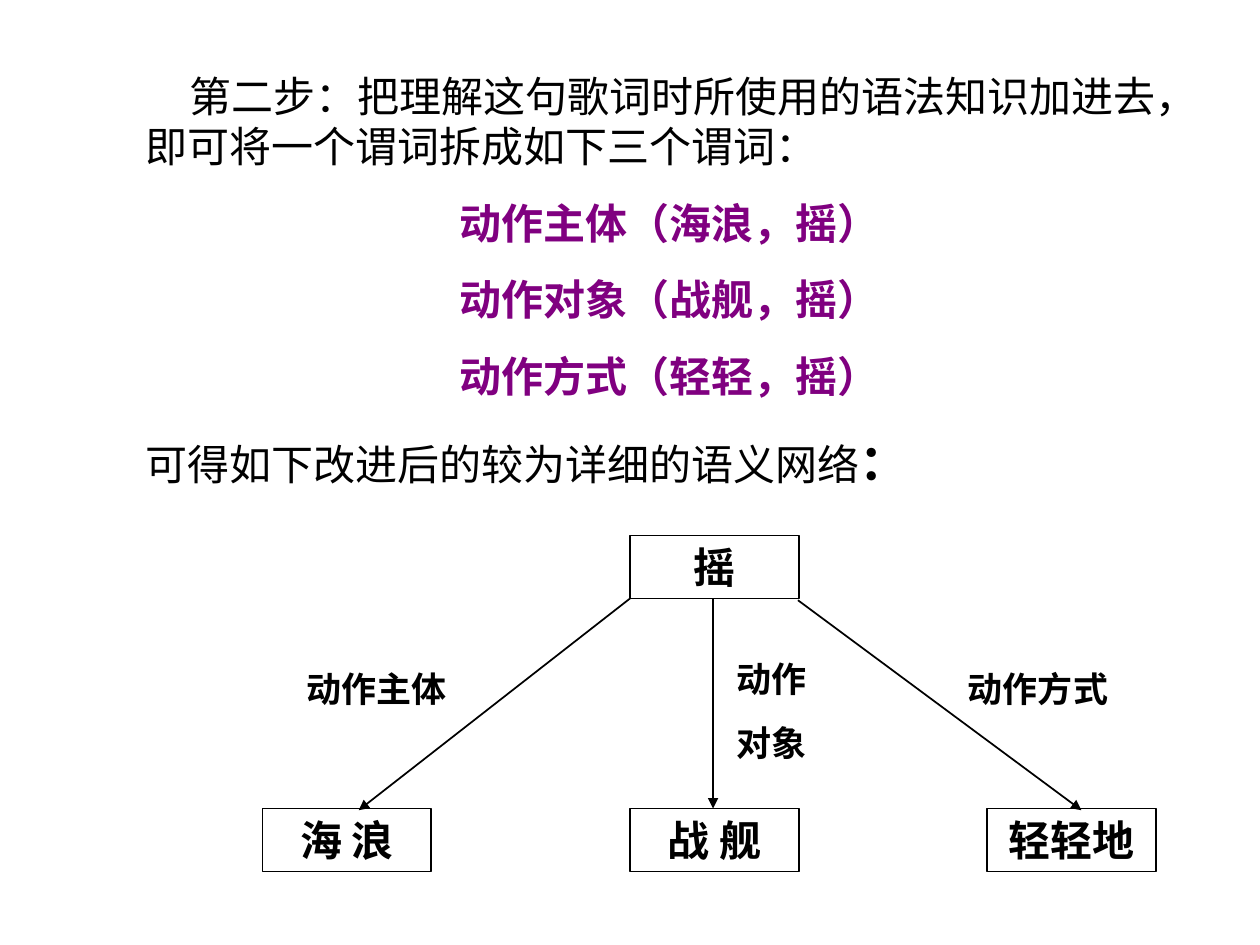
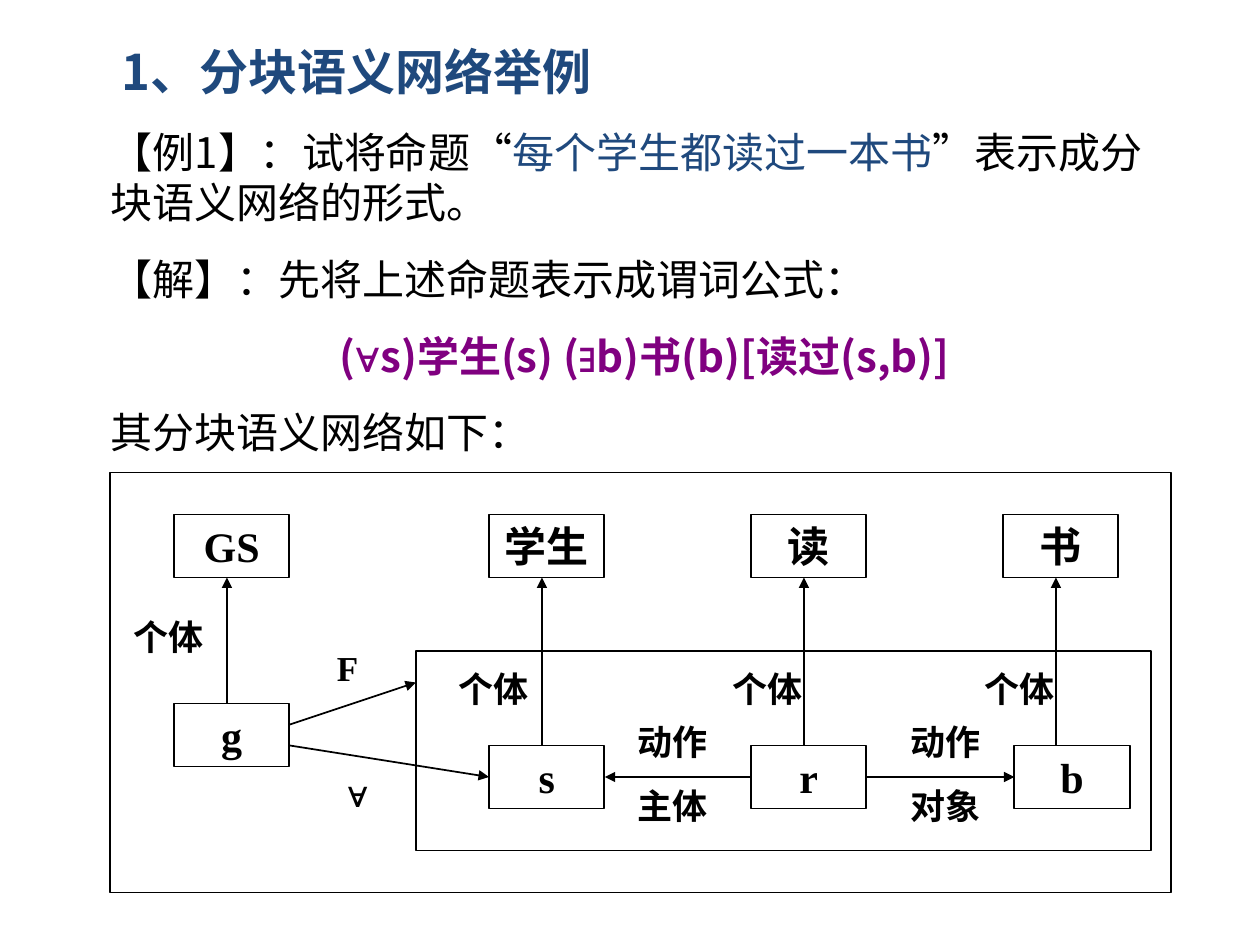
from lxml import etree
from pptx import Presentation
from pptx.dml.color import RGBColor
from pptx.enum.shapes import MSO_CONNECTOR, MSO_SHAPE
from pptx.enum.text import MSO_ANCHOR, MSO_AUTO_SIZE, PP_ALIGN
from pptx.oxml.ns import qn
from pptx.util import Pt

RECTANGLE = MSO_SHAPE.RECTANGLE
STRAIGHT = MSO_CONNECTOR.STRAIGHT
TOP = MSO_ANCHOR.TOP
GROW = MSO_AUTO_SIZE.SHAPE_TO_FIT_TEXT
LEFT, CENTER = PP_ALIGN.LEFT, PP_ALIGN.CENTER

BLACK = RGBColor(0, 0, 0)
PURPLE = RGBColor(0x80, 0, 0x80)
NAVY = RGBColor(0x1F, 0x49, 0x7D)
SANS, SERIF, SYMBOL = "Noto Sans CJK SC", "Times New Roman", "Arial"
BODY_SIZE, LARGE_SIZE, LABEL_SIZE = 24, 28, 20
LINE_FACTOR = 1.2
SPACE_FACTOR = 0.625
NODE_HEIGHT = 36
LABEL_HEIGHT = 31.7


def run(text, size=BODY_SIZE, color=BLACK, bold=False, font=SANS):
    return text, size, color, bold, font


def formula(text, font=SANS):
    return run(text, color=PURPLE, bold=True, font=font)


STEP_TEXT = [
    (LEFT, 25, [run("第二步：把理解这句歌词时所使用的语法知识加进去，即可将一个谓词拆成如下三个谓词：")]),
    (CENTER, 0, [formula("动作主体（海浪，摇）")]),
    (CENTER, 0, [formula("动作对象（战舰，摇）")]),
    (CENTER, 0, [formula("动作方式（轻轻，摇）")]),
    (LEFT, 0, [run("可得如下改进后的较为详细的语义网络"), run("：", LARGE_SIZE, bold=True)]),
]
ACTION_WIDTH = 96.5
ACTION_NODES = [
    ("海 浪", 150, 462),
    ("战 舰", 360, 462),
    ("轻轻地", 564, 462),
    ("摇", 360, 306),
]
ACTION_ARROWS = [
    (360, 342, 205, 463),
    (407.5, 342, 407.5, 462),
    (456, 343, 618, 463),
]
ACTION_LABELS = [
    (["动作主体"], 168, 378),
    (["动作", "对象"], 414, 372),
    (["动作方式"], 546, 378),
]

EXAMPLE_TEXT = [
    (LEFT, 6.3, [run("1、分块语义网络举例", LARGE_SIZE, NAVY, True)]),
    (LEFT, 0, [run("【例1】：试将命题“"), run("每个学生都读过一本书", color=NAVY),
               run("”表示成分块语义网络的形式。")]),
    (LEFT, 0, [run("【解】：先将上述命题表示成谓词公式：")]),
    (CENTER, 0, [formula("("), formula("∀", SYMBOL), formula("s)学生(s) ("),
                 formula("∃", SYMBOL), formula("b)书(b)[读过(s,b)]")]),
    (LEFT, 0, [run("其分块语义网络如下：")]),
]
BLOCK_WIDTH = 66
CLASS_TOP = 294
ARROW_OFFSET = 30.3
BLOCK_COLUMNS = [
    ("GS", 99.4, "g", 99.4, 402),
    ("学生", 279.4, "s", 279.4, 426),
    ("读", 429.1, "r", 429.1, 426),
    ("书", 573.1, "b", 579.6, 426),
]
BLOCK_FRAMES = [(237.6, 372, 420, 114), (63, 270, 606, 240)]
BLOCK_ARROWS = [
    (165.6, 414, 237.6, 390),
    (165.6, 426, 279.4, 444),
    (429.1, 444, 345.6, 444),
    (495.1, 444, 579.6, 444),
]
BLOCK_LABELS = [
    (["个体"], 63.4, 348, SERIF),
    (["F"], 165.6, 366, SERIF),
    (["∀"], 171.4, 438, SYMBOL),
    (["个体"], 249.1, 378, SERIF),
    (["个体"], 405.4, 378, SERIF),
    (["个体"], 549.4, 378, SERIF),
    (["动作", "主体"], 351.4, 408, SERIF),
    (["动作", "对象"], 507.6, 408, SERIF),
]


def fill_text(shape, paragraphs):
    frame = shape.text_frame
    frame.word_wrap = True
    frame.auto_size = GROW
    frame.vertical_anchor = TOP
    for index, (alignment, indent, runs) in enumerate(paragraphs):
        paragraph = frame.add_paragraph() if index else frame.paragraphs[0]
        paragraph.alignment = alignment
        largest = max(size for _, size, _, _, _ in runs)
        paragraph.line_spacing = Pt(LINE_FACTOR * largest)
        if index:
            paragraph.space_before = Pt(SPACE_FACTOR * largest)
        if indent:
            paragraph._p.get_or_add_pPr().set("indent", str(Pt(indent)))
        for text, size, color, bold, font in runs:
            piece = paragraph.add_run()
            piece.text = text
            piece.font.size = Pt(size)
            piece.font.bold = bold
            piece.font.name = font
            piece.font.color.rgb = color


def add_text(slide, left, top, width, height, paragraphs):
    shape = slide.shapes.add_textbox(Pt(left), Pt(top), Pt(width), Pt(height))
    fill_text(shape, paragraphs)
    return shape


def add_frame(slide, left, top, width, height):
    shape = slide.shapes.add_shape(RECTANGLE, Pt(left), Pt(top), Pt(width), Pt(height))
    shape.shadow.inherit = False
    shape.fill.background()
    shape.line.color.rgb = BLACK
    shape.line.width = Pt(1)
    return shape


def add_node(slide, text, left, top, width):
    shape = add_frame(slide, left, top, width, NODE_HEIGHT)
    fill_text(shape, [(CENTER, 0, [run(text, bold=True, font=SERIF)])])


def add_label(slide, lines, left, top, width, alignment, font=SERIF):
    height = LABEL_HEIGHT + (len(lines) - 1) * LABEL_SIZE * (LINE_FACTOR + SPACE_FACTOR)
    paragraphs = [(alignment, 0, [run(line, LABEL_SIZE, bold=True, font=font)]) for line in lines]
    add_text(slide, left, top, width, height, paragraphs)


def add_arrow(slide, *ends):
    connector = slide.shapes.add_connector(STRAIGHT, *(Pt(end) for end in ends))
    connector.line.color.rgb = BLACK
    connector.line.width = Pt(1)
    etree.SubElement(connector.line._get_or_add_ln(), qn("a:tailEnd"), type="triangle")
    etree.SubElement(connector._element.spPr, qn("a:effectLst"))


def build_action_slide(slide):
    text_box = add_text(slide, 76.3, 31.7, 612.7, 252, STEP_TEXT)
    text_box.text_frame.margin_top = Pt(8.4)
    for text, left, top in ACTION_NODES:
        add_node(slide, text, left, top, ACTION_WIDTH)
    for arrow in ACTION_ARROWS:
        add_arrow(slide, *arrow)
    for lines, left, top in ACTION_LABELS:
        add_label(slide, lines, left, top, 96, LEFT)


def build_block_slide(slide):
    add_text(slide, 56.2, 20.2, 624.2, 244.8, EXAMPLE_TEXT)
    for class_name, class_left, member, member_left, member_top in BLOCK_COLUMNS:
        add_node(slide, class_name, class_left, CLASS_TOP, BLOCK_WIDTH)
        add_node(slide, member, member_left, member_top, BLOCK_WIDTH)
        arrow_left = class_left + ARROW_OFFSET
        add_arrow(slide, arrow_left, member_top, arrow_left, CLASS_TOP + NODE_HEIGHT)
    for arrow in BLOCK_ARROWS:
        add_arrow(slide, *arrow)
    for lines, left, top, font in BLOCK_LABELS:
        add_label(slide, lines, left, top, BLOCK_WIDTH, CENTER, font)
    for frame in BLOCK_FRAMES:
        add_frame(slide, *frame)


def main():
    """Build the two semantic network slides."""
    presentation = Presentation()
    presentation.slide_width, presentation.slide_height = Pt(720), Pt(540)
    blank = presentation.slide_layouts[6]
    for build in (build_action_slide, build_block_slide):
        build(presentation.slides.add_slide(blank))
    presentation.save("out.pptx")


if __name__ == "__main__":
    main()
